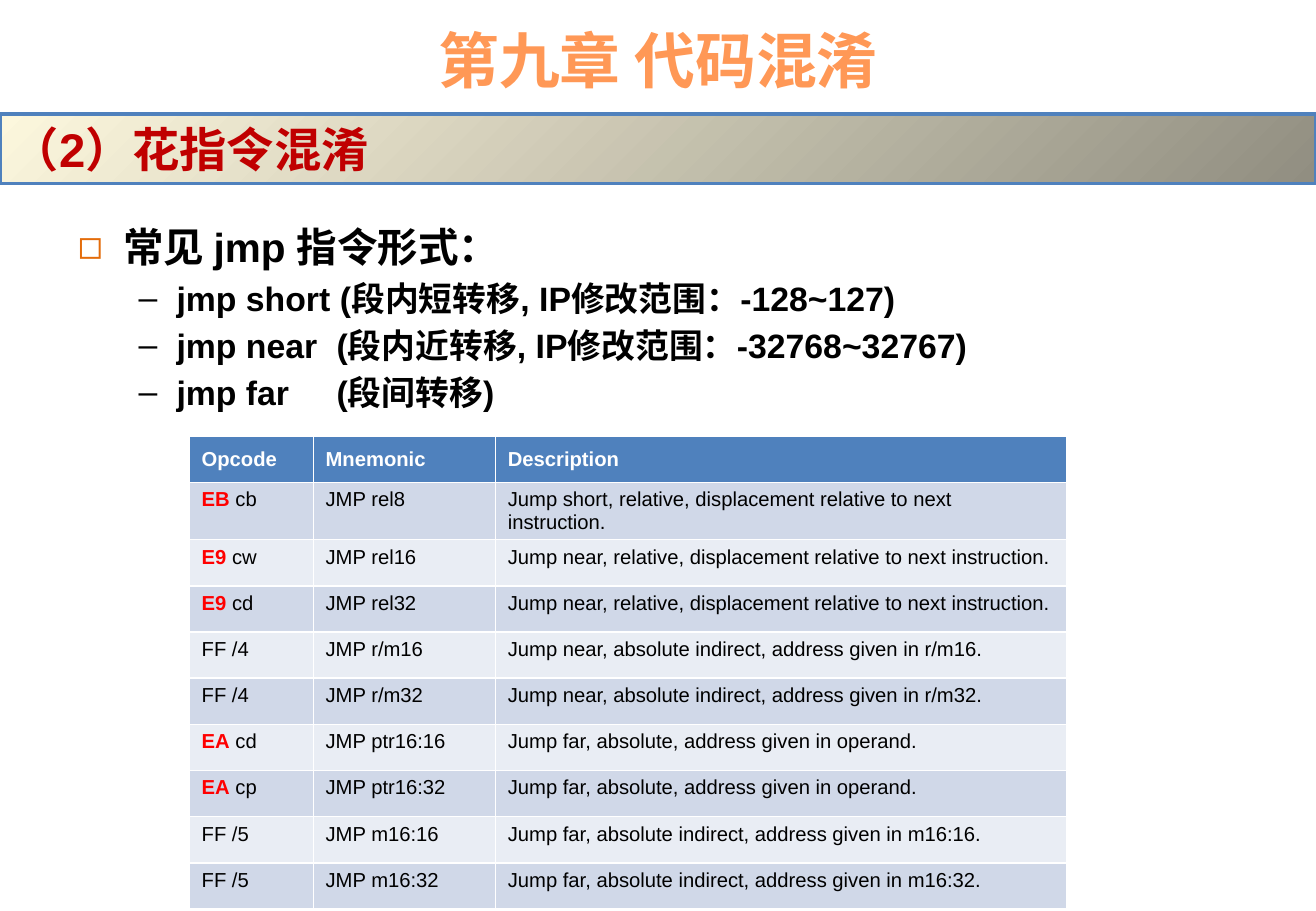
from typing import NamedTuple

from lxml import etree
from pptx import Presentation
from pptx.dml.color import RGBColor
from pptx.enum.shapes import MSO_SHAPE
from pptx.enum.text import MSO_ANCHOR, MSO_AUTO_SIZE, PP_ALIGN
from pptx.oxml import parse_xml
from pptx.oxml.ns import nsdecls, qn
from pptx.util import Inches, Pt

FONT = "Arial"
TAB_STOP = 2.13


class Instruction(NamedTuple):
    opcode: str
    operand: str
    mnemonic: str
    description: str


class ListItem(NamedTuple):
    text: str
    level: int = 1
    size: float = 20


NEAR_RELATIVE = "Jump near, relative, displacement relative to next instruction."
FAR_ABSOLUTE = "Jump far, absolute, address given in operand."
HEADINGS = ("Opcode", "Mnemonic", "Description")
COLUMN_WIDTHS = (1.02, 1.5, 4.7)
ROW_HEIGHT = 0.38
# An empty opcode means that nothing in the first cell is highlighted
INSTRUCTIONS = [
    Instruction("EB", " cb", "JMP rel8",
                "Jump short, relative, displacement relative to next instruction."),
    Instruction("E9", " cw", "JMP rel16", NEAR_RELATIVE),
    Instruction("E9", " cd", "JMP rel32", NEAR_RELATIVE),
    Instruction("", "FF /4", "JMP r/m16",
                "Jump near, absolute indirect, address given in r/m16."),
    Instruction("", "FF /4", "JMP r/m32",
                "Jump near, absolute indirect, address given in r/m32."),
    Instruction("EA", " cd", "JMP ptr16:16", FAR_ABSOLUTE),
    Instruction("EA", " cp", "JMP ptr16:32", FAR_ABSOLUTE),
    Instruction("", "FF /5", "JMP m16:16",
                "Jump far, absolute indirect, address given in m16:16."),
    Instruction("", "FF /5", "JMP m16:32",
                "Jump far, absolute indirect, address given in m16:32."),
]
LIST_ITEMS = [
    ListItem("常见 jmp 指令形式：", level=0, size=24),
    ListItem("jmp short (段内短转移, IP修改范围：-128~127)"),
    ListItem("jmp near\t(段内近转移, IP修改范围：-32768~32767)"),
    ListItem("jmp far\t(段间转移)"),
]


def color(value: str) -> RGBColor:
    return RGBColor.from_string(value)


def add_text(paragraph, text: str, *, size: float, fill: str = "000000",
             bold: bool = False) -> None:
    run = paragraph.add_run()
    run.text = text
    run.font.name = FONT
    run.font.size = Pt(size)
    run.font.bold = bold
    run.font.color.rgb = color(fill)


def place(shape, left: float, top: float, width: float, height: float) -> None:
    shape.left, shape.top = Inches(left), Inches(top)
    shape.width, shape.height = Inches(width), Inches(height)


def add_title(slide) -> None:
    title = slide.shapes.title
    place(title, 0.54, 0.13, 9.75, 0.71)
    frame = title.text_frame
    frame.auto_size = MSO_AUTO_SIZE.NONE
    frame.vertical_anchor = MSO_ANCHOR.MIDDLE
    paragraph = frame.paragraphs[0]
    paragraph.alignment = PP_ALIGN.CENTER
    add_text(paragraph, "第九章 代码混淆", size=36, fill="FF9856", bold=True)


def add_list(slide) -> None:
    body = slide.placeholders[1]
    place(body, 0.54, 1.78, 9.75, 4.09)
    frame = body.text_frame
    frame.auto_size = MSO_AUTO_SIZE.NONE
    for index, item in enumerate(LIST_ITEMS):
        paragraph = frame.paragraphs[0] if index == 0 else frame.add_paragraph()
        paragraph.level = item.level
        properties = paragraph._p.get_or_add_pPr()
        if index == 0:
            paragraph.space_before = Pt(0)
            bullet_color = etree.SubElement(properties, qn("a:buClr"))
            etree.SubElement(bullet_color, qn("a:srgbClr"), val="E46C0A")
            etree.SubElement(properties, qn("a:buChar"), char="◻")
        if "\t" in item.text:
            tabs = etree.SubElement(properties, qn("a:tabLst"))
            etree.SubElement(tabs, qn("a:tab"), pos=str(Inches(TAB_STOP)), algn="l")
        add_text(paragraph, item.text, size=item.size, bold=True)


def add_section_bar(slide) -> None:
    bar = slide.shapes.add_shape(MSO_SHAPE.RECTANGLE, Inches(0), Inches(0.94),
                                 Inches(10.83), Inches(0.57))
    bar.shadow.inherit = False
    bar.line.color.rgb = color("4F81BD")
    bar.line.width = Pt(2)
    # Gradient that spreads from the top left corner
    gradient = parse_xml(
        f'<a:gradFill {nsdecls("a")} rotWithShape="1"><a:gsLst>'
        '<a:gs pos="0"><a:srgbClr val="FCF7DD"/></a:gs>'
        '<a:gs pos="100000"><a:srgbClr val="918E81"/></a:gs></a:gsLst>'
        '<a:path path="circle"><a:fillToRect r="100000" b="100000"/></a:path>'
        '</a:gradFill>')
    bar._element.spPr.find(qn("a:prstGeom")).addnext(gradient)
    frame = bar.text_frame
    frame.word_wrap = True
    frame.vertical_anchor = MSO_ANCHOR.TOP
    paragraph = frame.paragraphs[0]
    paragraph.alignment = PP_ALIGN.LEFT
    add_text(paragraph, "（2）花指令混淆", size=28, fill="C00000", bold=True)


def add_instruction_table(slide) -> None:
    row_count = len(INSTRUCTIONS) + 1
    table = slide.shapes.add_table(
        row_count, len(HEADINGS), Inches(1.56), Inches(3.59),
        Inches(sum(COLUMN_WIDTHS)), Inches(ROW_HEIGHT * row_count)).table
    for column, width in zip(table.columns, COLUMN_WIDTHS):
        column.width = Inches(width)

    # Header row
    for cell, heading in zip(table.rows[0].cells, HEADINGS):
        cell.fill.solid()
        cell.fill.fore_color.rgb = color("4F81BD")
        cell.vertical_anchor = MSO_ANCHOR.MIDDLE
        add_text(cell.text_frame.paragraphs[0], heading, size=12,
                 fill="FFFFFF", bold=True)

    # Instruction rows in alternating bands
    for row, instruction in enumerate(INSTRUCTIONS, start=1):
        texts = (instruction.operand, instruction.mnemonic, instruction.description)
        for column, text in enumerate(texts):
            cell = table.cell(row, column)
            cell.fill.solid()
            cell.fill.fore_color.rgb = color("D0D8E8" if row % 2 else "E9EDF4")
            paragraph = cell.text_frame.paragraphs[0]
            if column == 0 and instruction.opcode:
                add_text(paragraph, instruction.opcode, size=12,
                         fill="FF0000", bold=True)
            add_text(paragraph, text, size=12)


def main() -> None:
    presentation = Presentation()
    presentation.slide_width = Inches(10.83)
    presentation.slide_height = Inches(7.5)
    slide = presentation.slides.add_slide(presentation.slide_layouts[1])
    add_title(slide)
    add_list(slide)
    add_section_bar(slide)
    add_instruction_table(slide)
    presentation.save("out.pptx")


if __name__ == "__main__":
    main()
